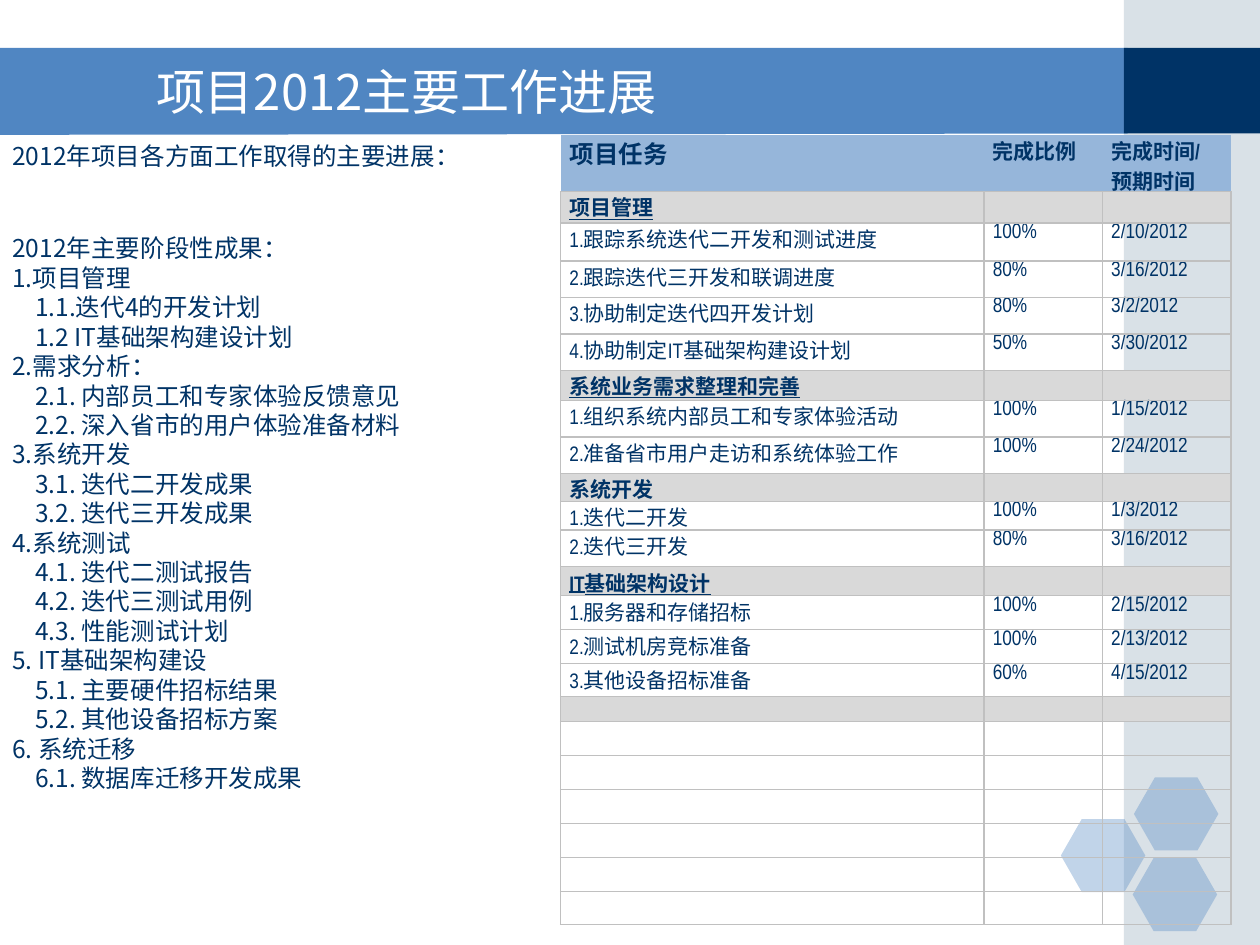
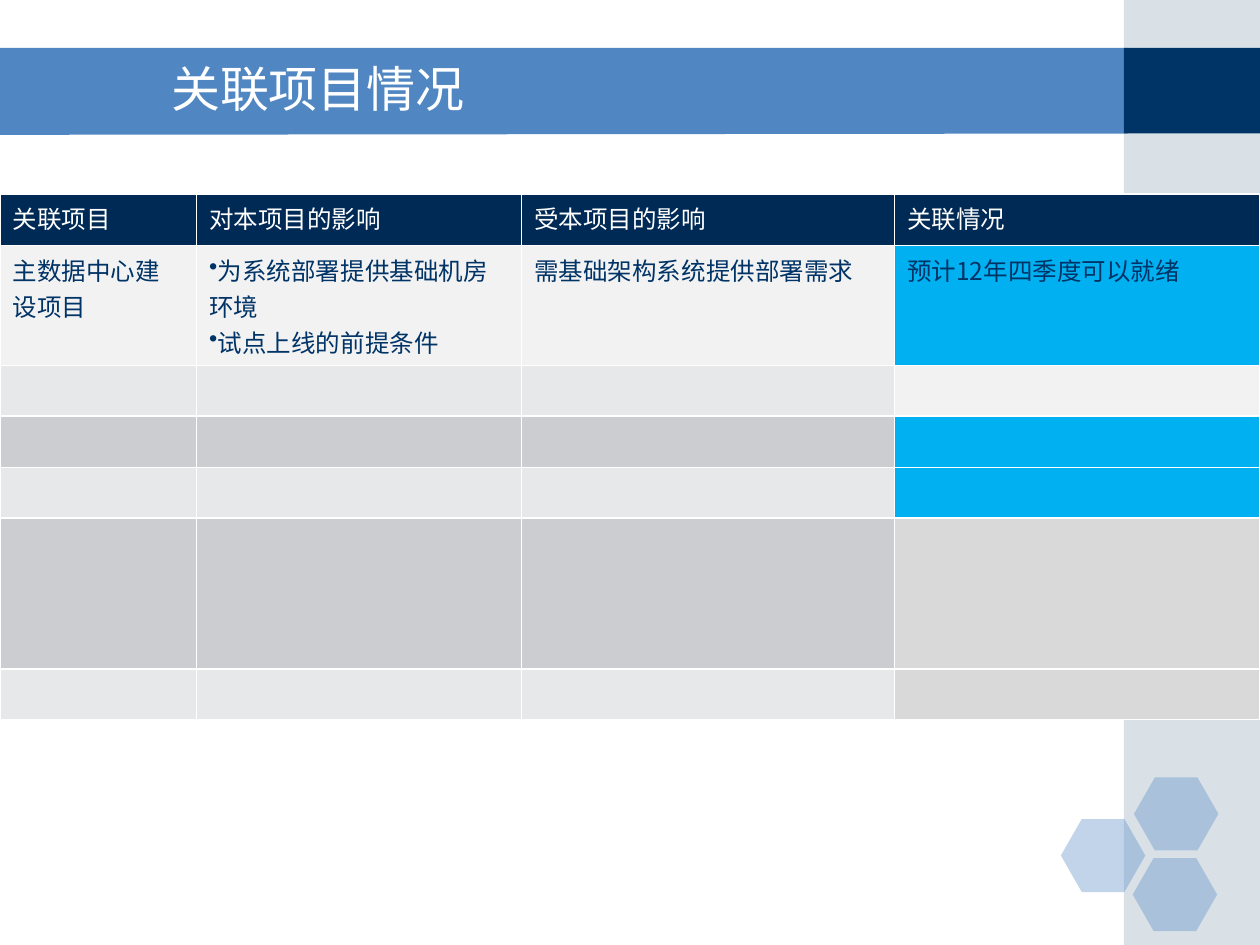
"""Build two project status slides: yearly progress and related projects."""
from dataclasses import dataclass

from lxml.etree import SubElement
from pptx import Presentation
from pptx.dml.color import RGBColor as Rgb
from pptx.enum.shapes import MSO_SHAPE as Preset
from pptx.enum.text import MSO_ANCHOR as Anchor
from pptx.oxml.ns import qn
from pptx.util import Inches, Pt


@dataclass(frozen=True)
class Theme:
    font: str = "Noto Sans CJK SC"
    table_font: str = "Arial Narrow"
    white: str = "FFFFFF"
    navy: str = "003366"
    blue: str = "5086C2"
    mist: str = "A0B5C4"
    task_header: str = "96B6DA"
    section: str = "D9D9D9"
    grid: str = "C0C0C0"
    related_header: str = "002A56"
    light: str = "F2F2F2"
    band_light: str = "E7E8E9"
    band_dark: str = "CCCDD1"
    ready: str = "00B0F0"
    title_size: int = 28
    body_size: int = 14
    task_size: int = 12


THEME = Theme()

OUTCOMES = [
    ("2012年项目各方面工作取得的主要进展：", 0),
    ("2012年主要阶段性成果：", 0),
    ("1.项目管理", 0),
    ("1.1.迭代4的开发计划", 1),
    ("1.2 IT基础架构建设计划", 1),
    ("2.需求分析：", 0),
    ("2.1. 内部员工和专家体验反馈意见", 1),
    ("2.2. 深入省市的用户体验准备材料", 1),
    ("3.系统开发", 0),
    ("3.1. 迭代二开发成果", 1),
    ("3.2. 迭代三开发成果", 1),
    ("4.系统测试", 0),
    ("4.1. 迭代二测试报告", 1),
    ("4.2. 迭代三测试用例", 1),
    ("4.3. 性能测试计划", 1),
    ("5. IT基础架构建设", 0),
    ("5.1. 主要硬件招标结果", 1),
    ("5.2. 其他设备招标方案", 1),
    ("6. 系统迁移", 0),
    ("6.1. 数据库迁移开发成果", 1),
]

TASK_HEADER = ("项目任务", "完成比例", "完成时间/\n预期时间")
TASKS = [
    ("项目管理",),
    ("1.跟踪系统迭代二开发和测试进度", "100%", "2/10/2012"),
    ("2.跟踪迭代三开发和联调进度", "80%", "3/16/2012"),
    ("3.协助制定迭代四开发计划", "80%", "3/2/2012"),
    ("4.协助制定IT基础架构建设计划", "50%", "3/30/2012"),
    ("系统业务需求整理和完善",),
    ("1.组织系统内部员工和专家体验活动", "100%", "1/15/2012"),
    ("2.准备省市用户走访和系统体验工作", "100%", "2/24/2012"),
    ("系统开发",),
    ("1.迭代二开发", "100%", "1/3/2012"),
    ("2.迭代三开发", "80%", "3/16/2012"),
    ("IT基础架构设计",),
    ("1.服务器和存储招标", "100%", "2/15/2012"),
    ("2.测试机房竞标准备", "100%", "2/13/2012"),
    ("3.其他设备招标准备", "60%", "4/15/2012"),
    ("",),
] + [("", "", "")] * 6
TASK_COLUMNS = [3.36, 0.94, 1.02]
TASK_ROWS = [0.45, 0.25, 0.3, *[0.29] * 3, 0.24, 0.29, 0.29, 0.22, 0.23, 0.29,
             0.23, 0.27, 0.27, 0.26, 0.16, *[0.27] * 5, 0.26]

RELATED_HEADER = ("关联项目", "对本项目的影响", "受本项目的影响", "关联情况")
RELATED = ("主数据中心建设项目", "为系统部署提供基础机房环境\n试点上线的前提条件",
           "需基础架构系统提供部署需求", "预计12年四季度可以就绪")
RELATED_COLUMNS = [1.56, 2.58, 2.96, 2.9]
RELATED_ROWS = [0.41, 0.95, 0.4, 0.41, 0.4, 1.2, 0.4]
RELATED_FILLS = [
    (THEME.light, THEME.ready),
    (THEME.band_light, THEME.light),
    (THEME.band_dark, THEME.ready),
    (THEME.band_light, THEME.ready),
    (THEME.band_dark, THEME.section),
    (THEME.band_light, THEME.section),
]


def apply_formats(target, formats):
    """Set each named attribute on the target."""
    for name, value in formats.items():
        setattr(target, name, value)


def write_span(para, text, color, size, name=THEME.font, **formats):
    """Add a formatted run, or size the empty paragraph."""
    if not text:
        end = SubElement(para._p, qn("a:endParaRPr"), sz=str(size * 100))
        SubElement(end, qn("a:latin"), typeface=name)
        return
    span = para.add_run()
    span.text = text
    apply_formats(span.font, {"size": Pt(size), "name": name, **formats})
    span.font.color.rgb = Rgb.from_string(color)
    SubElement(span.font._element, qn("a:ea"), typeface=THEME.font)


def paint(shape, color, alpha=None):
    """Fill a shape without outline or shadow, optionally translucent."""
    shape.shadow.inherit = False
    shape.fill.solid()
    shape.fill.fore_color.rgb = Rgb.from_string(color)
    shape.line.fill.background()
    if alpha:
        tone = next(shape._element.spPr.iter(qn("a:srgbClr")))
        SubElement(tone, qn("a:alpha"), val=str(alpha * 1000))


def add_preset(page, preset, place, color, alpha=None):
    """Add a painted preset shape."""
    shape = page.shapes.add_shape(preset, *map(Inches, place))
    paint(shape, color, alpha)
    return shape


def add_text_box(page, place, anchor=Anchor.TOP):
    """Add a wrapping text box and return its frame."""
    frame = page.shapes.add_textbox(*map(Inches, place)).text_frame
    apply_formats(frame, {"word_wrap": True, "vertical_anchor": anchor})
    return frame


def add_backdrop(page):
    """Draw the title band, side strip and hexagons."""
    corners = [(-0.01, 0.38), (8.95, 0.38), (8.95, 1.06), (-0.01, 1.07)]
    points = [(Inches(x), Inches(y)) for x, y in corners]
    outline = page.shapes.build_freeform(*points[0])
    outline.add_line_segments(points[1:], close=True)
    paint(outline.convert_to_shape(), THEME.blue)
    add_preset(page, Preset.RECTANGLE, (8.92, 0, 1.08, 7.5), THEME.mist, 40)
    add_preset(page, Preset.RECTANGLE, (8.92, 0.38, 1.08, 0.68), THEME.navy)
    for left, top in [(8.42, 6.5), (9, 6.17), (8.99, 6.81)]:
        hexagon = add_preset(page, Preset.HEXAGON, (left, top, 0.67, 0.58),
                             THEME.blue, 35)
        hexagon.adjustments[0] = 0.286


def add_page(deck, title, place):
    """Add a blank page with the shared backdrop and its title."""
    page = deck.slides.add_slide(deck.slide_layouts[6])
    add_backdrop(page)
    frame = add_text_box(page, place, Anchor.MIDDLE)
    write_span(frame.paragraphs[0], title, THEME.white, THEME.title_size)
    return page


def add_grid(page, left, top, columns, rows):
    """Add an unbanded table with the given column and row sizes."""
    place = (left, top, sum(columns), sum(rows))
    table = page.shapes.add_table(len(rows), len(columns),
                                  *map(Inches, place)).table
    apply_formats(table, {"first_row": False, "horz_banding": False})
    for column, width in zip(table.columns, columns):
        column.width = Inches(width)
    for row, height in zip(table.rows, rows):
        row.height = Inches(height)
    return table


def style_cell(cell, fill, border, edges="LRTB"):
    """Fill a cell and draw one-point borders on the named edges."""
    if fill:
        cell.fill.solid()
        cell.fill.fore_color.rgb = Rgb.from_string(fill)
    else:
        cell.fill.background()
    props = cell._tc.get_or_add_tcPr()
    for index, edge in enumerate("LRTB"):
        line = SubElement(props, qn(f"a:ln{edge}"), w=str(Pt(1)))
        props.insert(index, line)
        if edge in edges:
            solid = SubElement(line, qn("a:solidFill"))
            SubElement(solid, qn("a:srgbClr"), val=border)
        else:
            SubElement(line, qn("a:noFill"))


def write_cell(cell, text, *style, bullet=False, **formats):
    """Write each line of the text as a paragraph of the cell."""
    for index, line in enumerate(text.split("\n")):
        frame = cell.text_frame
        para = frame.add_paragraph() if index else frame.paragraphs[0]
        if bullet:
            SubElement(para._p.get_or_add_pPr(), qn("a:buChar"), char="•")
        write_span(para, line, *style, **formats)


def add_outcomes(page):
    """List the year's outcomes with indented sub-items."""
    frame = add_text_box(page, (0, 1.07, 4.14, 5.32))
    for index, (text, level) in enumerate(OUTCOMES):
        para = frame.add_paragraph() if index else frame.paragraphs[0]
        if index == 1:
            para.space_before = Pt(36)
        if level:
            para._p.get_or_add_pPr().set("marL", str(Inches(0.18)))
        write_span(para, text, THEME.navy, THEME.body_size)


def add_tasks(page):
    """Add the task table with its shaded section rows."""
    table = add_grid(page, 4.45, 1.07, TASK_COLUMNS, TASK_ROWS)
    margins = {"margin_left": Inches(0.07), "margin_right": Inches(0.07),
               "margin_top": 0, "margin_bottom": 0}
    for row, values in enumerate([TASK_HEADER, *TASKS]):
        header, section = row == 0, len(values) == 1
        fill = (THEME.task_header if header
                else THEME.section if section else None)
        for column in range(len(TASK_COLUMNS)):
            cell = table.cell(row, column)
            apply_formats(cell, margins)
            style_cell(cell, fill, THEME.grid, "B" if header else "LRTB")
            large = header and column == 0
            size = THEME.body_size if large else THEME.task_size
            text = values[column] if column < len(values) else ""
            write_cell(cell, text, THEME.navy, size, THEME.table_font,
                       bold=header or section, underline=section)


def add_related(page):
    """Add the table of related projects."""
    table = add_grid(page, 0, 1.54, RELATED_COLUMNS, RELATED_ROWS)
    for column, title in enumerate(RELATED_HEADER):
        cell = table.cell(0, column)
        style_cell(cell, THEME.related_header, THEME.white)
        write_cell(cell, title, THEME.white, THEME.body_size)
        for row, (band, status) in enumerate(RELATED_FILLS, 1):
            cell = table.cell(row, column)
            style_cell(cell, status if column == 3 else band, THEME.white)
            text = RELATED[column] if row == 1 else ""
            write_cell(cell, text, THEME.navy, THEME.body_size,
                       bullet=bool(text) and column == 1)


def main():
    """Build and save the deck."""
    deck = Presentation()
    apply_formats(deck, {"slide_width": Inches(10), "slide_height": Inches(7.5)})
    progress = add_page(deck, "项目2012主要工作进展", (1.14, 0.41, 7.8, 0.62))
    add_outcomes(progress)
    add_tasks(progress)
    related = add_page(deck, "关联项目情况", (1.26, 0.39, 7.67, 0.62))
    add_related(related)
    deck.save("out.pptx")


if __name__ == "__main__":
    main()
